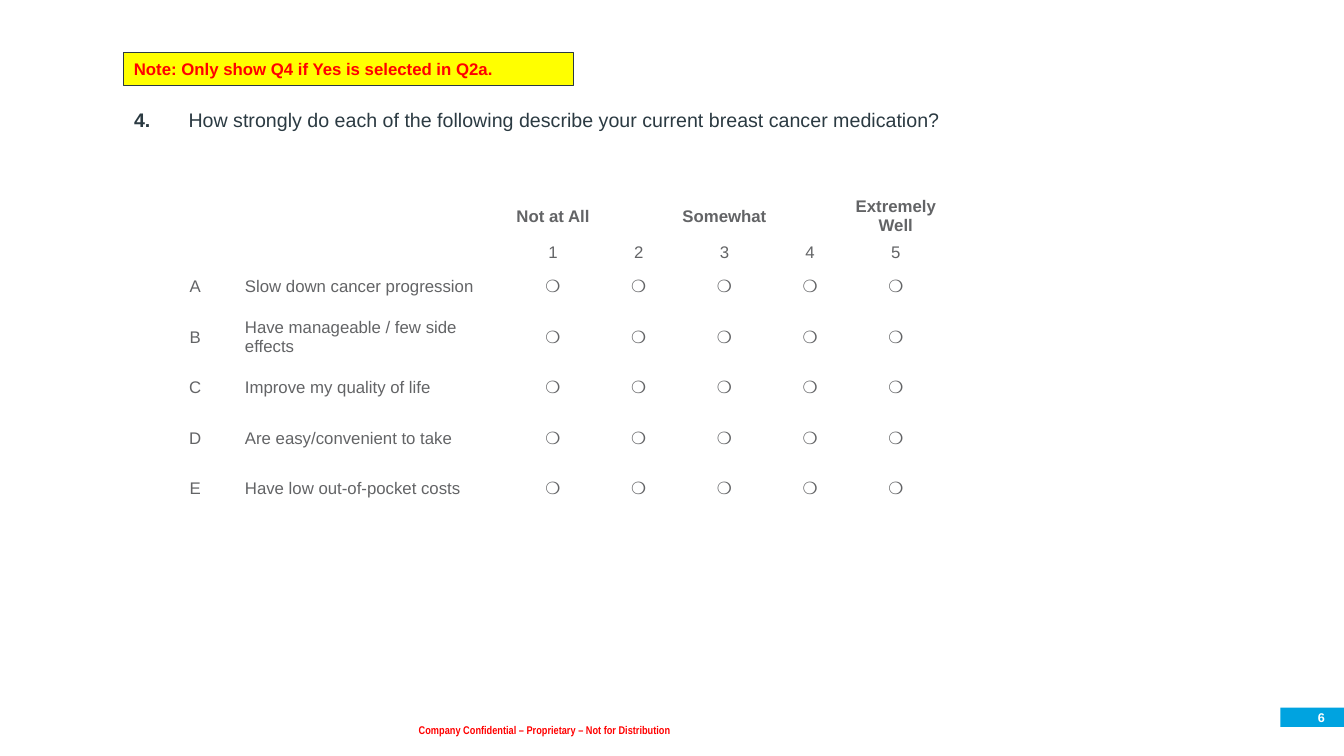
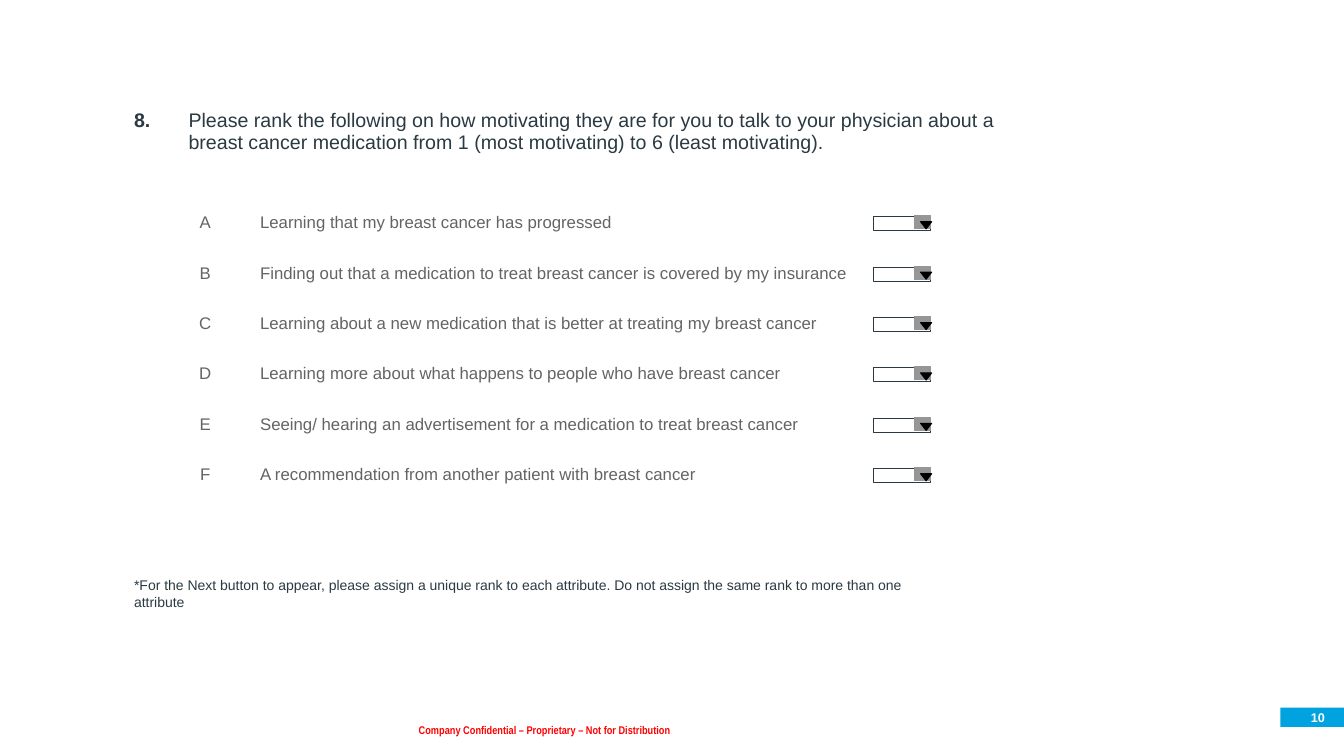
"""Build two survey question slides: a rating grid and a ranking list."""
from pptx import Presentation
from pptx.dml.color import RGBColor
from pptx.enum.shapes import MSO_SHAPE
from pptx.enum.text import MSO_ANCHOR, PP_ALIGN
from pptx.util import Inches, Pt

RECT, TRIANGLE = MSO_SHAPE.RECTANGLE, MSO_SHAPE.ISOSCELES_TRIANGLE
TOP, MIDDLE, BOTTOM = MSO_ANCHOR.TOP, MSO_ANCHOR.MIDDLE, MSO_ANCHOR.BOTTOM
LEFT, CENTER, RIGHT = PP_ALIGN.LEFT, PP_ALIGN.CENTER, PP_ALIGN.RIGHT
WHITE = RGBColor(0xFF, 0xFF, 0xFF)
BLACK = RGBColor(0x00, 0x00, 0x00)
DARK = RGBColor(0x2B, 0x3A, 0x42)
GRAY = RGBColor(0x63, 0x64, 0x66)
BUTTON = RGBColor(0x96, 0x96, 0x96)
BLUE = RGBColor(0x00, 0xA3, 0xE0)
RED = RGBColor(0xFF, 0x00, 0x00)
YELLOW = RGBColor(0xFF, 0xFF, 0x00)
FOOTER = "Company Confidential – Proprietary – Not for Distribution"


def add_box(shapes, kind, x, y, w, h, fill, line=None, text="", size=12,
            color=RED, font="Arial", align=LEFT, anchor=MIDDLE):
    """Add a filled shape, with bold text if given."""
    sp = shapes.add_shape(kind, Inches(x), Inches(y), Inches(w), Inches(h))
    sp.shadow.inherit = False
    sp.fill.solid()
    sp.fill.fore_color.rgb = fill
    if line is None:
        sp.line.fill.background()
    else:
        sp.line.color.rgb = line
        sp.line.width = Pt(0.75)
    if text:
        tf = sp.text_frame
        tf.word_wrap = True
        tf.vertical_anchor = anchor
        p = tf.paragraphs[0]
        p.text = text
        p.alignment = align
        p.font.name, p.font.size, p.font.bold = font, Pt(size), True
        p.font.color.rgb = color
    return sp


def add_grid(s, x, y, widths, heights, rows, size=12, color=GRAY,
             left_cols=(1,), anchor=MIDDLE, pad_x=0.07, pad_y=0):
    """Add an unfilled table and return it."""
    table = s.shapes.add_table(len(rows), len(widths), Inches(x), Inches(y),
                               Inches(sum(widths)), Inches(sum(heights))).table
    table.first_row = table.horz_banding = False
    for column, width in zip(table.columns, widths):
        column.width = Inches(width)
    for row, height, values in zip(table.rows, heights, rows):
        row.height = Inches(height)
        for c, (cell, value) in enumerate(zip(row.cells, values)):
            cell.fill.background()
            cell.vertical_anchor = anchor
            cell.margin_left = cell.margin_right = Inches(pad_x if c < 2 else 0)
            cell.margin_top = cell.margin_bottom = Inches(pad_y)
            p = cell.text_frame.paragraphs[0]
            p.alignment = LEFT if c in left_cols else CENTER
            p.font.name, p.font.size, p.font.bold = "Arial", Pt(size), False
            p.font.color.rgb = color
            if value:
                p.text = value
            else:
                p._p.get_or_add_endParaRPr().set("sz", str(size * 100))
    return table


prs = Presentation()
prs.slide_width, prs.slide_height = Inches(13.33), Inches(7.5)

questions = [
    ("6", "4.", "How strongly do each of the following describe your current "
     "breast cancer medication?", 0.41),
    ("10", "8.", "Please rank the following on how motivating they are for you to "
     "talk to your physician about a breast cancer medication from 1 (most "
     "motivating) to 6 (least motivating).", 0.57),
]
for page, number, question, height in questions:
    s = prs.slides.add_slide(prs.slide_layouts[6])
    sp = add_box(s.shapes, RECT, 12.7, 7.02, 0.63, 0.19, BLUE, text=page, size=9,
                 color=WHITE, align=RIGHT)
    tf = sp.text_frame
    tf.margin_left = tf.margin_top = tf.margin_bottom = 0
    tf.margin_right = Inches(0.19)
    add_box(s.shapes, RECT, 0.42, 6.99, 9.97, 0.37, WHITE, text=FOOTER, size=8,
            font="Arial Narrow", align=CENTER, anchor=BOTTOM)
    table = add_grid(s, 1.23, 1.04, [0.54, 8.35], [height], [(number, question)],
                     size=14, color=DARK, left_cols=(0, 1), anchor=TOP,
                     pad_x=0.1, pad_y=0.05)
    table.cell(0, 0).text_frame.paragraphs[0].font.bold = True

rating, ranking = prs.slides

attributes = [
    "Slow down cancer progression",
    "Have manageable / few side effects",
    "Improve my quality of life",
    "Are easy/convenient to take",
    "Have low out-of-pocket costs",
]
rows = [
    ("", "", "Not at All", "", "Somewhat", "", "Extremely Well"),
    ("", "", "1", "2", "3", "4", "5"),
]
rows += [(letter, text) + ("❍",) * 5 for letter, text in zip("ABCDE", attributes)]
table = add_grid(rating, 1.51, 1.88, [0.85, 2.7] + [0.85] * 5,
                 [0.53, 0.18] + [0.5] * 5, rows)
for cell in table.rows[0].cells:
    cell.text_frame.paragraphs[0].font.bold = True
add_box(rating.shapes, RECT, 1.23, 0.52, 4.46, 0.33, YELLOW, DARK,
        "Note: Only show Q4 if Yes is selected in Q2a.")

motivators = [
    "Learning that my breast cancer has progressed",
    "Finding out that a medication to treat breast cancer is covered by my insurance",
    "Learning about a new medication that is better at treating my breast cancer",
    "Learning more about what happens to people who have breast cancer",
    "Seeing/ hearing an advertisement for a medication to treat breast cancer",
    "A recommendation from another patient with breast cancer",
]
rows = [(letter, text, "") for letter, text in zip("ABCDEF", motivators)]
add_grid(ranking, 1.56, 1.96, [0.95, 6.42, 0.04], [0.5] * len(rows), rows)
for i in range(len(motivators)):
    y = 2.15 + 0.5 * i
    dropdown = ranking.shapes.add_group_shape().shapes
    add_box(dropdown, RECT, 8.66, y, 0.57, 0.14, WHITE, DARK)
    add_box(dropdown, RECT, 9.07, y - 0.01, 0.16, 0.13, BUTTON, BUTTON)
    arrow = add_box(dropdown, TRIANGLE, 9.13, y + 0.05, 0.11, 0.07, BLACK, BLACK)
    arrow.rotation = 180

tf = ranking.shapes.add_textbox(Inches(1.24), Inches(5.67), Inches(8.04),
                                Inches(0.43)).text_frame
tf.word_wrap = True
tf.margin_left = tf.margin_right = Inches(0.09)
p = tf.paragraphs[0]
p.text = ("*For the Next button to appear, please assign a unique rank to each "
          "attribute. Do not assign the same rank to more than one attribute")
p.font.name, p.font.size = "Arial", Pt(10)
p.font.color.rgb = DARK

prs.save("out.pptx")
